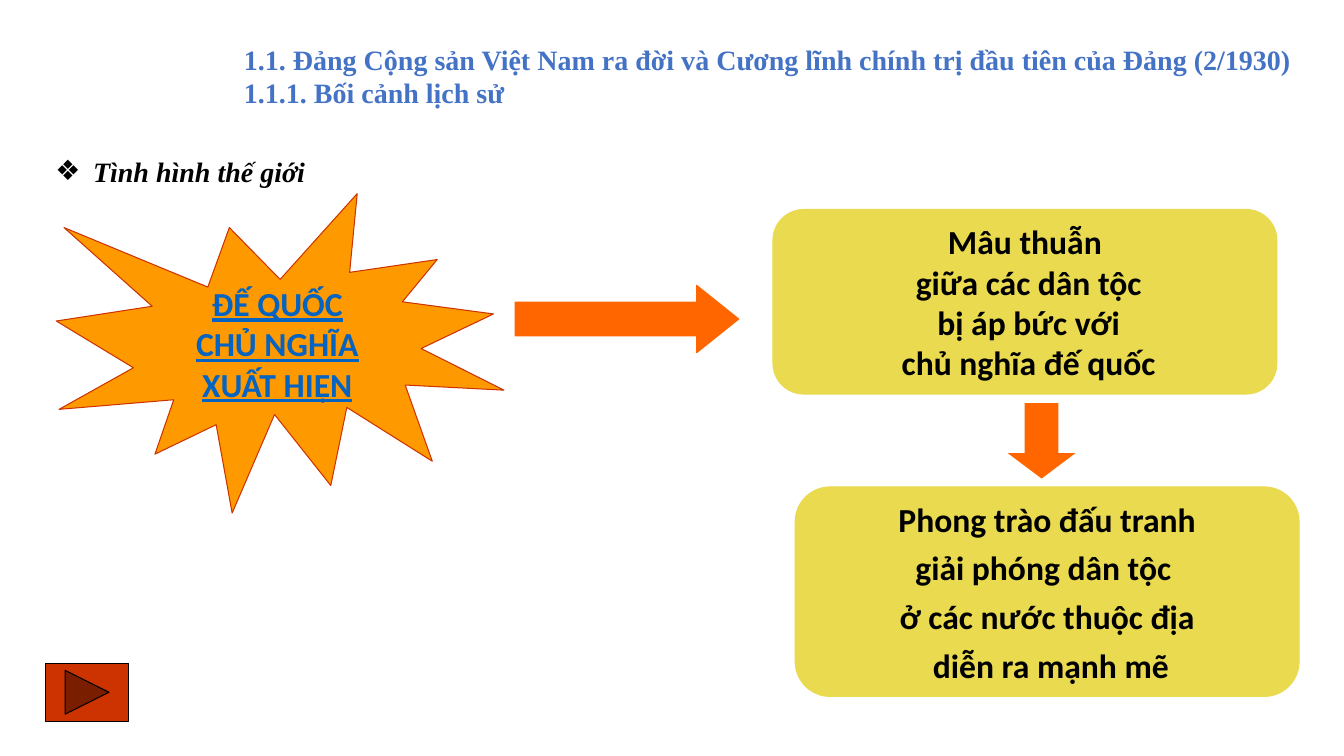
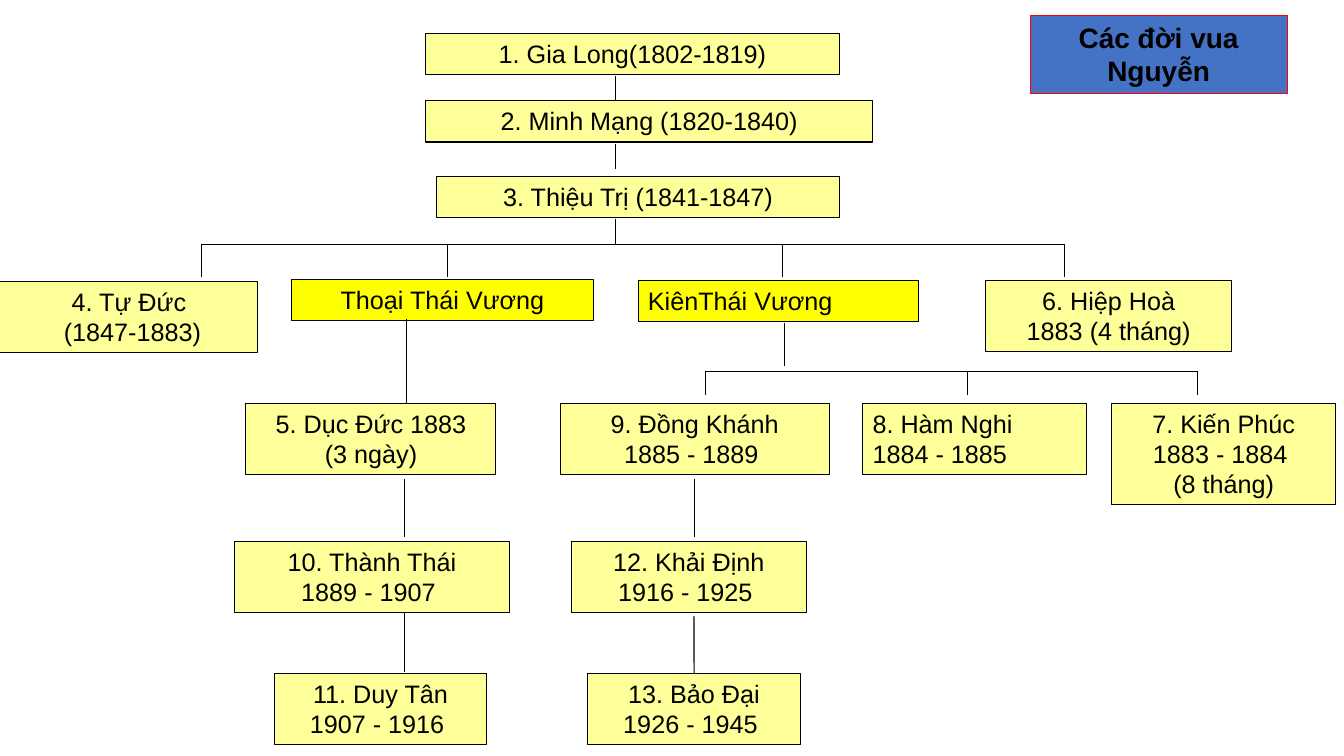
"""Build two history slides: the world situation and the line of Nguyễn kings."""
from dataclasses import dataclass, field

from lxml.etree import SubElement
from pptx import Presentation
from pptx.dml.color import RGBColor
from pptx.enum.shapes import MSO_CONNECTOR, MSO_SHAPE as Preset
from pptx.enum.text import MSO_ANCHOR as Anchor, MSO_AUTO_SIZE as AutoSize, PP_ALIGN as Align
from pptx.oxml.ns import qn
from pptx.util import Cm, Pt

COLORS = {
    "black": "000000", "blue": "4472C4", "link": "0563C1", "red": "FF0000",
    "brick": "CC3300", "amber": "FF9900", "orange": "FF6600", "mustard": "E9DA4F",
    "cream": "FFFF99", "yellow": "FFFF00",
}
FORMATS = {
    "heading": {"name": "Times New Roman", "size": Pt(20), "bold": True},
    "topic": {"name": "Times New Roman", "size": Pt(20), "bold": True, "italic": True},
    "king_title": {"name": "Arial", "size": Pt(20), "bold": True},
    "king": {"name": "Arial", "size": Pt(18)},
    "diagram": {"name": "Calibri", "size": Pt(24), "bold": True},
    "linked": {"name": "Calibri", "size": Pt(24), "bold": True, "underline": True},
}
LINE_WIDTH = Pt(0.75)
KING_LINE, KING_PADDING = 0.76, 0.28


@dataclass
class TextStyle:
    format: str
    color: str = "black"
    align: Align = Align.CENTER
    anchor: Anchor = Anchor.TOP
    wrap: bool = True
    gap: float = 0


@dataclass
class Figure:
    preset: Preset
    left: float
    top: float
    width: float
    height: float
    fill: str
    line: str | None
    lines: list[str] = field(default_factory=list)
    style: TextStyle | None = None
    adjustments: tuple[float, ...] = ()


@dataclass
class King:
    left: float
    top: float
    width: float
    lines: list[str]
    fill: str = "cream"
    align: Align = Align.CENTER
    rows: int = 0


@dataclass
class Stem:
    x: float
    top: float
    bottom: float
    joined_king: str | None = None


@dataclass
class Branch:
    y: float
    xs: list[float]
    drop: float


DIAGRAM = TextStyle("diagram", anchor=Anchor.MIDDLE, wrap=False)
SPACED = TextStyle("diagram", anchor=Anchor.MIDDLE, wrap=False, gap=6)
LINKED = TextStyle("linked", "link", anchor=Anchor.MIDDLE, wrap=False)

FIGURES = [
    Figure(Preset.RIGHT_ARROW, 12.98, 7.19, 5.64, 1.7, "orange", "orange",
           adjustments=(0.5, 0.625)),
    Figure(Preset.EXPLOSION1, 1.42, 4.88, 11.28, 8.05, "amber", "brick",
           ["ĐẾ QUỐC", "CHỦ NGHĨA", "XUẤT HIỆN"], LINKED),
    Figure(Preset.FLOWCHART_ALTERNATE_PROCESS, 19.48, 5.28, 12.7, 4.65, "mustard", "mustard",
           ["Mâu thuẫn", " giữa các dân tộc", " bị áp bức với", " chủ nghĩa đế quốc"], DIAGRAM),
    Figure(Preset.FLOWCHART_ALTERNATE_PROCESS, 20.04, 12.27, 12.7, 5.28, "mustard", "mustard",
           ["Phong trào đấu tranh", "giải phóng dân tộc ", "ở các nước thuộc địa",
            " diễn ra mạnh mẽ"], SPACED),
    Figure(Preset.DOWN_ARROW, 25.4, 10.16, 1.7, 1.9, "orange", None, adjustments=(0.5, 0.375)),
    Figure(Preset.ACTION_BUTTON_FORWARD_OR_NEXT, 1.14, 16.71, 2.11, 1.47, "brick", "black"),
]
KINGS = {
    "gia_long": King(10.72, 0.84, 10.44, ["1. Gia Long(1802-1819)"]),
    "minh_mang": King(10.72, 2.54, 11.28, ["2. Minh Mạng (1820-1840)"]),
    "thieu_tri": King(11, 4.45, 10.16, ["3. Thiệu Trị (1841-1847)"]),
    "hiep_hoa": King(24.84, 7.06, 6.2, ["6. Hiệp Hoà", "1883 (4 tháng)"]),
    "tu_duc": King(0, 7.09, 6.5, ["4. Tự Đức", " (1847-1883)"]),
    "thoai_thai": King(7.34, 7.04, 7.62, ["Thoại Thái Vương"], "yellow"),
    "kien_thai": King(16.08, 7.06, 7.06, ["KiênThái Vương"], "yellow", Align.LEFT),
    "duc_duc": King(6.2, 10.16, 6.3, ["5. Dục Đức 1883", "(3 ngày)"]),
    "dong_khanh": King(14.12, 10.16, 6.78, ["9. Đồng Khánh", "1885 - 1889 "]),
    "ham_nghi": King(21.74, 10.16, 5.64, ["8. Hàm Nghi", "1884 - 1885"], align=Align.LEFT),
    "kien_phuc": King(28.02, 10.16, 5.64, ["7. Kiến Phúc", "1883 - 1884 ", "(8 tháng)"]),
    "thanh_thai": King(5.92, 13.64, 6.91, ["10. Thành Thái", "1889 - 1907 "]),
    "khai_dinh": King(14.4, 13.64, 5.92, ["12. Khải Định", "1916 - 1925 "]),
    "duy_tan": King(6.91, 16.97, 5.36, ["11. Duy Tân 1907 - 1916 "], rows=2),
    "bao_dai": King(14.81, 16.97, 5.36, ["13. Bảo Đại", "1926 - 1945 "]),
}
BRANCHES = [
    Branch(6.15, [5.08, 11.28, 19.71, 26.82], 0.84),
    Branch(9.35, [17.78, 24.38, 30.18], 0.61),
]
STEMS = [
    Stem(15.52, 1.91, 2.54), Stem(15.52, 3.63, 4.27), Stem(15.52, 5.51, 6.15),
    Stem(19.76, 8.15, 9.22), Stem(10.24, 8.05, 10.16),
    Stem(10.19, 12.07, 13.54), Stem(10.19, 15.44, 16.94),
    Stem(17.5, 12.07, 13.54), Stem(17.49, 15.52, 16.97, "bao_dai"),
]


def rgb(name: str) -> RGBColor:
    return RGBColor.from_string(COLORS[name])


def write_text(shape, lines: list[str], style: TextStyle) -> None:
    frame = shape.text_frame
    settings = {"word_wrap": style.wrap, "auto_size": AutoSize.NONE,
                "vertical_anchor": style.anchor}
    for name, value in settings.items():
        setattr(frame, name, value)
    for index, line in enumerate(lines):
        paragraph = frame.paragraphs[0] if index == 0 else frame.add_paragraph()
        paragraph.alignment = style.align
        paragraph.space_before = Pt(style.gap if index else 0)
        run = paragraph.add_run()
        run.text = line
        for name, value in FORMATS[style.format].items():
            setattr(run.font, name, value)
        run.font.color.rgb = rgb(style.color)


def paint(shape, fill: str, line: str | None) -> None:
    shape.fill.solid()
    shape.fill.fore_color.rgb = rgb(fill)
    if line is None:
        shape.line.fill.background()
    else:
        shape.line.color.rgb = rgb(line)
        shape.line.width = LINE_WIDTH


def place(shape, left: float, top: float, width: float, height: float) -> None:
    box = {"left": left, "top": top, "width": width, "height": height}
    for name, value in box.items():
        setattr(shape, name, Cm(value))


def draw_figure(slide, figure: Figure):
    shape = slide.shapes.add_shape(figure.preset, Cm(figure.left), Cm(figure.top),
                                   Cm(figure.width), Cm(figure.height))
    shape.shadow.inherit = False
    for index, value in enumerate(figure.adjustments):
        shape.adjustments[index] = value
    paint(shape, figure.fill, figure.line)
    if figure.style:
        write_text(shape, figure.lines, figure.style)
    return shape


def draw_king(slide, king: King):
    height = KING_PADDING + KING_LINE * (king.rows or len(king.lines))
    return draw_figure(slide, Figure(Preset.RECTANGLE, king.left, king.top, king.width, height,
                                     king.fill, "black", king.lines,
                                     TextStyle("king", align=king.align)))


def draw_line(slide, x1: float, y1: float, x2: float, y2: float):
    connector = slide.shapes.add_connector(MSO_CONNECTOR.STRAIGHT,
                                           Cm(x1), Cm(y1), Cm(x2), Cm(y2))
    connector.line.color.rgb = rgb("black")
    connector.line.width = LINE_WIDTH
    SubElement(connector.element.spPr, qn("a:effectLst"))
    return connector


def draw_branch(slide, branch: Branch) -> None:
    draw_line(slide, branch.xs[0], branch.y, branch.xs[-1], branch.y)
    for x in branch.xs:
        draw_line(slide, x, branch.y, x, branch.y + branch.drop)


def add_bullet(paragraph, symbol: str, indent: float) -> None:
    properties = paragraph._p.get_or_add_pPr()
    properties.set("marL", str(Cm(indent)))
    properties.set("indent", str(-Cm(indent)))
    SubElement(properties, qn("a:buChar"), char=symbol)


def build_world_slide(presentation) -> None:
    slide = presentation.slides.add_slide(presentation.slide_layouts[1])
    title, body = slide.shapes.title, slide.placeholders[1]
    place(title, 5.89, 0.94, 27.28, 2.82)
    write_text(title, [
        "1.1. Đảng Cộng sản Việt Nam ra đời và Cương lĩnh chính trị đầu tiên của Đảng (2/1930)",
        "1.1.1. Bối cảnh lịch sử",
    ], TextStyle("heading", "blue", Align.LEFT))
    place(body, 1.14, 3.76, 7.19, 1.12)
    write_text(body, ["Tình hình thế giới"], TextStyle("topic", align=Align.LEFT))
    add_bullet(body.text_frame.paragraphs[0], "❖", 0.95)
    for figure in FIGURES:
        draw_figure(slide, figure)


def build_kings_slide(presentation) -> None:
    slide = presentation.slides.add_slide(presentation.slide_layouts[5])
    title = slide.shapes.title
    place(title, 25.96, 0.38, 6.48, 1.98)
    paint(title, "blue", "red")
    write_text(title, ["Các đời vua Nguyễn"], TextStyle("king_title"))
    boxes = {name: draw_king(slide, king) for name, king in KINGS.items()}
    for branch in BRANCHES:
        draw_branch(slide, branch)
    for stem in STEMS:
        connector = draw_line(slide, stem.x, stem.top, stem.x, stem.bottom)
        if stem.joined_king:
            connector.end_connect(boxes[stem.joined_king], 0)


def main() -> None:
    presentation = Presentation()
    presentation.slide_width, presentation.slide_height = Cm(33.87), Cm(19.05)
    build_world_slide(presentation)
    build_kings_slide(presentation)
    presentation.save("out.pptx")


if __name__ == "__main__":
    main()
